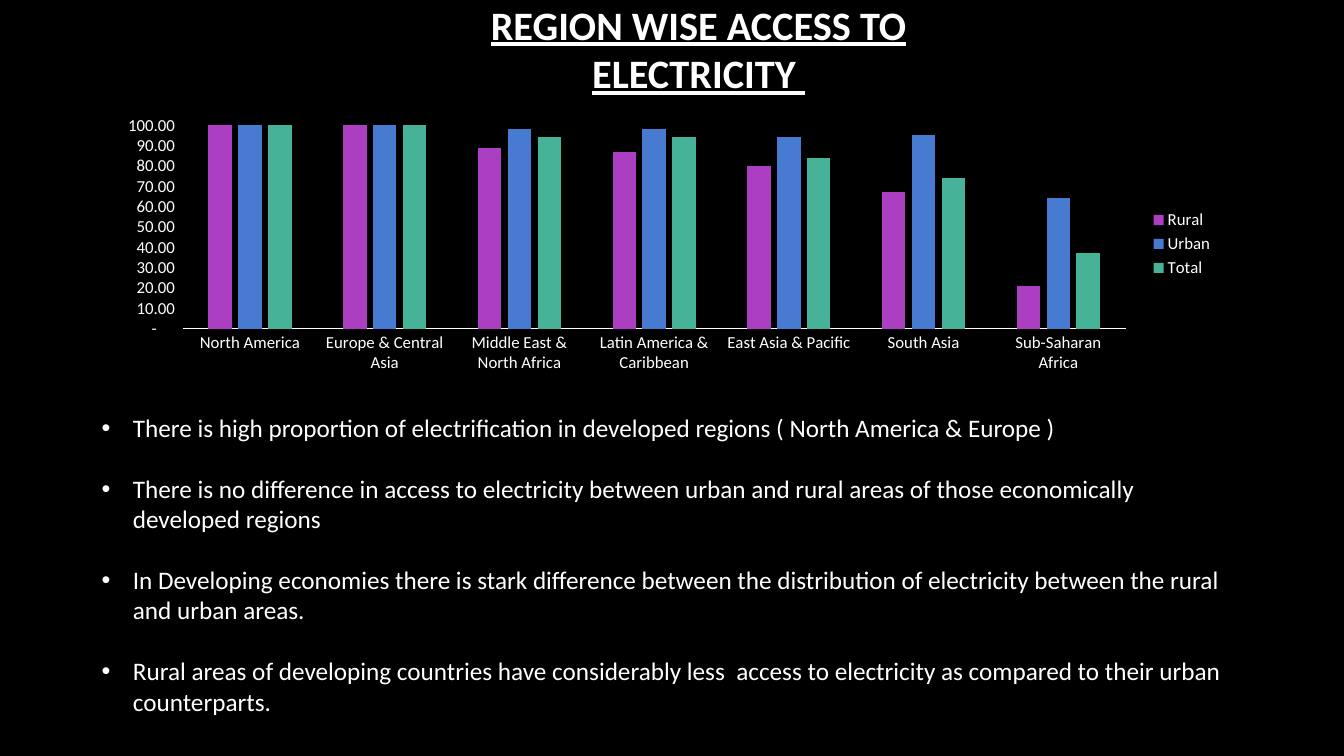
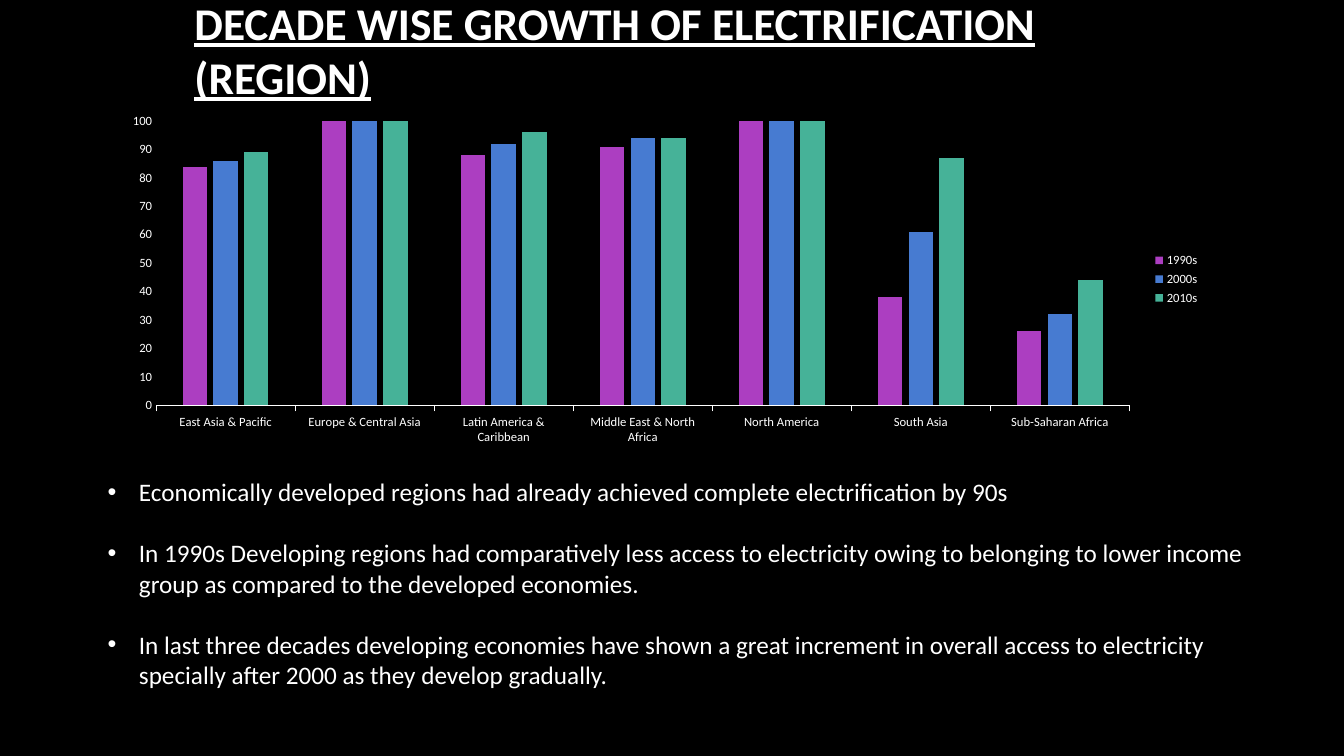
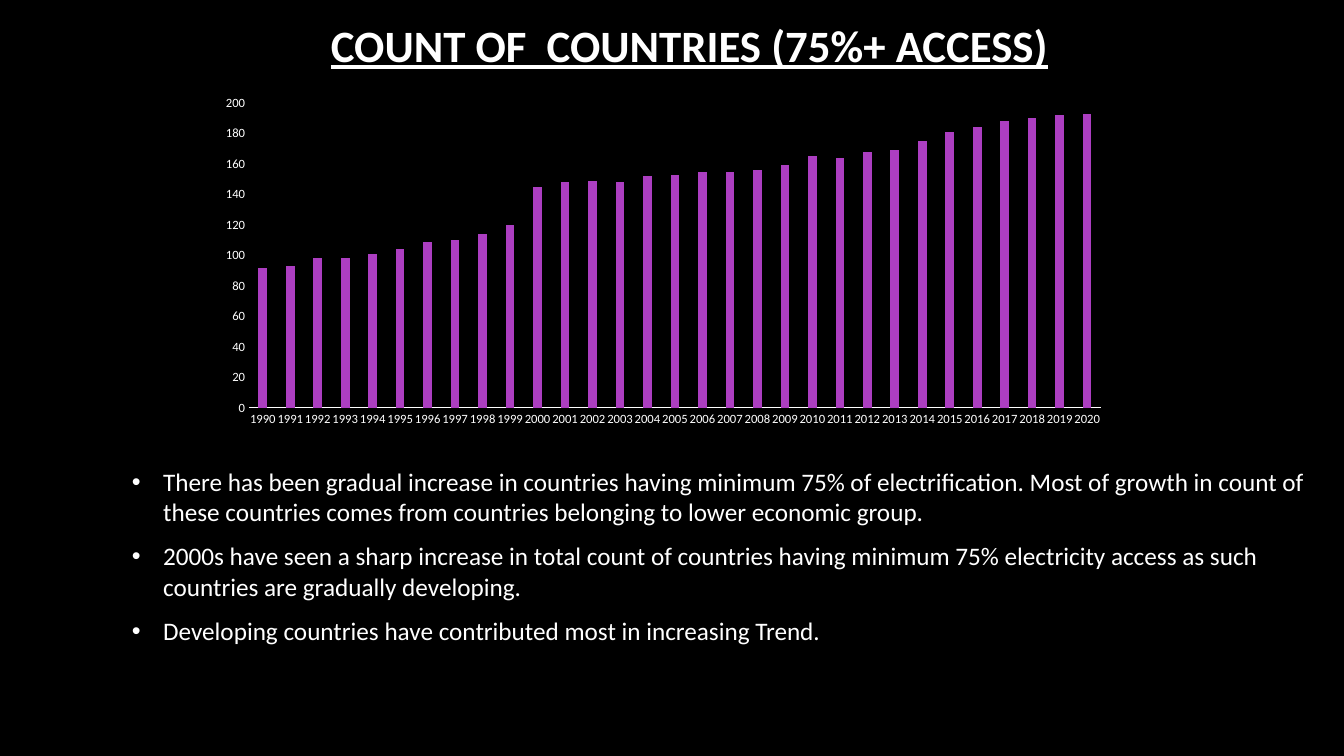
from dataclasses import dataclass

from lxml.etree import SubElement
from pptx import Presentation
from pptx.chart.data import CategoryChartData
from pptx.dml.color import RGBColor
from pptx.enum.chart import XL_CHART_TYPE, XL_LEGEND_POSITION, XL_TICK_MARK
from pptx.enum.text import MSO_ANCHOR, PP_ALIGN
from pptx.oxml.ns import qn
from pptx.util import Inches, Pt


@dataclass(frozen=True)
class Theme:
    font: str = "Calibri"
    background: RGBColor = RGBColor(0x00, 0x00, 0x00)
    text: RGBColor = RGBColor(0xFF, 0xFF, 0xFF)
    series: tuple = (
        RGBColor(0xAC, 0x3E, 0xC1),
        RGBColor(0x47, 0x7B, 0xD1),
        RGBColor(0x46, 0xB2, 0x98),
    )
    body_size: float = 18
    chart_size: float = 9
    large_chart_size: float = 12
    bullet_indent: float = 0.31
    blank_line: float = 22
    small_gap: float = 10


THEME = Theme()
ACCOUNTING_FORMAT = '_(* #,##0.00_);_(* \\(#,##0.00\\);_(* "-"??_);_(@_)'


def style_font(font, size):
    font.name = THEME.font
    font.size = Pt(size)
    font.color.rgb = THEME.text


def add_slide(presentation):
    slide = presentation.slides.add_slide(presentation.slide_layouts[6])
    slide.background.fill.solid()
    slide.background.fill.fore_color.rgb = THEME.background
    return slide


def add_text_frame(slide, box, anchor):
    shape = slide.shapes.add_textbox(*map(Inches, box))
    text_frame = shape.text_frame
    text_frame.word_wrap = True
    text_frame.vertical_anchor = anchor
    return text_frame


def add_title(slide, text, box, size, alignment=PP_ALIGN.CENTER):
    text_frame = add_text_frame(slide, box, MSO_ANCHOR.MIDDLE)
    text_frame.text = text
    paragraph = text_frame.paragraphs[0]
    paragraph.alignment = alignment
    font = paragraph.runs[0].font
    style_font(font, size)
    font.bold = True
    font.underline = True


def set_bullet(paragraph):
    properties = paragraph._p.get_or_add_pPr()
    indent = Inches(THEME.bullet_indent)
    properties.set("marL", str(indent))
    properties.set("indent", str(-indent))
    SubElement(properties, qn("a:buFont")).set("typeface", "Arial")
    SubElement(properties, qn("a:buChar")).set("char", "•")


def add_bullets(slide, lines, box, gap, anchor=MSO_ANCHOR.TOP):
    text_frame = add_text_frame(slide, box, anchor)
    text_frame.text = "\n".join(lines)
    for paragraph in text_frame.paragraphs:
        paragraph.space_after = Pt(gap)
        set_bullet(paragraph)
        style_font(paragraph.runs[0].font, THEME.body_size)


def style_category_axis(axis, size, tick_mark):
    axis.major_tick_mark = tick_mark
    axis.format.line.color.rgb = THEME.text
    axis.format.line.width = Pt(0.75)
    style_font(axis.tick_labels.font, size)
    # Automatic rotation keeps every label on one level
    body = axis._element.find(qn("c:txPr")).find(qn("a:bodyPr"))
    body.set("rot", "-60000000")


def style_value_axis(axis, size, maximum, number_format):
    axis.minimum_scale = 0
    axis.maximum_scale = maximum
    axis.major_unit = maximum / 10
    axis.has_major_gridlines = False
    axis.major_tick_mark = XL_TICK_MARK.NONE
    axis.format.line.fill.background()
    axis.tick_labels.number_format = number_format
    axis.tick_labels.number_format_is_linked = False
    style_font(axis.tick_labels.font, size)


def add_column_chart(slide, categories, series, box, maximum=100,
                     size=THEME.chart_size, number_format="General",
                     tick_mark=XL_TICK_MARK.NONE):
    """Draw clustered columns, with a legend when there are several series."""
    data = CategoryChartData()
    data.categories = categories
    for name, values in series.items():
        data.add_series(name, values)
    chart = slide.shapes.add_chart(
        XL_CHART_TYPE.COLUMN_CLUSTERED, *map(Inches, box), data).chart
    style_font(chart.font, size)
    chart.has_title = False
    chart.has_legend = len(series) > 1
    if chart.has_legend:
        chart.legend.position = XL_LEGEND_POSITION.RIGHT
        chart.legend.include_in_layout = False
        style_font(chart.legend.font, size)

    plot = chart.plots[0]
    plot.gap_width = 219
    plot.overlap = -27
    plot.vary_by_categories = False
    for column_series, color in zip(plot.series, THEME.series):
        column_series.invert_if_negative = False
        column_series.format.fill.solid()
        column_series.format.fill.fore_color.rgb = color

    style_category_axis(chart.category_axis, size, tick_mark)
    style_value_axis(chart.value_axis, size, maximum, number_format)


def build_region_access(presentation):
    slide = add_slide(presentation)
    add_title(slide, "REGION WISE ACCESS TO ELECTRICITY ",
              (3.78, 0.17, 6.3, 0.62), 28.8)
    regions = ["North America", "Europe & Central Asia",
               "Middle East & North Africa", "Latin America & Caribbean",
               "East Asia & Pacific", "South Asia", "Sub-Saharan Africa"]
    access = {
        "Rural": (100, 100, 89, 87, 80, 67, 21),
        "Urban": (100, 100, 98, 98, 94, 95, 64),
        "Total": (100, 100, 94, 94, 84, 74, 37),
    }
    add_column_chart(slide, regions, access, (1.01, 1.09, 11.13, 2.66),
                     size=THEME.large_chart_size,
                     number_format=ACCOUNTING_FORMAT)
    add_bullets(slide, [
        "There is high proportion of electrification in developed regions "
        "( North America & Europe )",
        "There is no difference in access to electricity between urban and "
        "rural areas of those economically developed regions",
        "In Developing economies there is stark difference between the "
        "distribution of electricity between the rural and urban areas.",
        "Rural areas of developing countries have considerably less  access "
        "to electricity as compared to their urban counterparts.",
    ], (0.91, 4.04, 11.5, 3.13), THEME.blank_line)


def build_decade_growth(presentation):
    slide = add_slide(presentation)
    add_title(slide, "DECADE WISE GROWTH OF ELECTRIFICATION (REGION)",
              (1.83, 0.22, 10.09, 0.54), 32.4, PP_ALIGN.LEFT)
    regions = ["East Asia & Pacific", "Europe & Central Asia",
               "Latin America & Caribbean", "Middle East & North Africa",
               "North America", "South Asia", "Sub-Saharan Africa"]
    growth = {
        "1990s": (84, 100, 88, 91, 100, 38, 26),
        "2000s": (86, 100, 92, 94, 100, 61, 32),
        "2010s": (89, 100, 96, 94, 100, 87, 44),
    }
    add_column_chart(slide, regions, growth, (1.1, 1.06, 10.9, 3.42),
                     tick_mark=XL_TICK_MARK.OUTSIDE)
    add_bullets(slide, [
        "Economically developed regions had already achieved complete "
        "electrification by 90s",
        "In 1990s Developing regions had comparatively less access to "
        "electricity owing to belonging to lower income group as compared to "
        "the developed economies.",
        "In last three decades developing economies have shown a great "
        "increment in overall access to electricity specially after 2000 as "
        "they develop gradually.",
    ], (0.97, 4.68, 11.8, 2.52), THEME.blank_line)


def build_country_count(presentation):
    slide = add_slide(presentation)
    add_title(slide, "COUNT OF  COUNTRIES (75%+ ACCESS)",
              (1.67, -0.02, 10.34, 0.93), 32)
    years = [str(year) for year in range(1990, 2021)]
    counts = (92, 93, 98, 98, 101, 104, 109, 110, 114, 120,
              145, 148, 149, 148, 152, 153, 155, 155, 156, 159,
              165, 164, 168, 169, 175, 181, 184, 188, 190, 192, 193)
    add_bullets(slide, [
        "There has been gradual increase in countries having minimum 75% of "
        "electrification. Most of growth in count of these countries comes "
        "from countries belonging to lower economic group.",
        "2000s have seen a sharp increase in total count of countries having "
        "minimum 75% electricity access as such countries are gradually "
        "developing.",
        "Developing countries have contributed most in increasing Trend.",
    ], (1.21, 4.2, 12.12, 2.63), THEME.small_gap, MSO_ANCHOR.MIDDLE)
    add_column_chart(slide, years, {"Series 1": counts},
                     (2.06, 0.88, 9.04, 3.42), maximum=200)


def main():
    presentation = Presentation()
    presentation.slide_width = Inches(13.33)
    presentation.slide_height = Inches(7.5)
    build_region_access(presentation)
    build_decade_growth(presentation)
    build_country_count(presentation)
    presentation.save("out.pptx")


if __name__ == "__main__":
    main()
